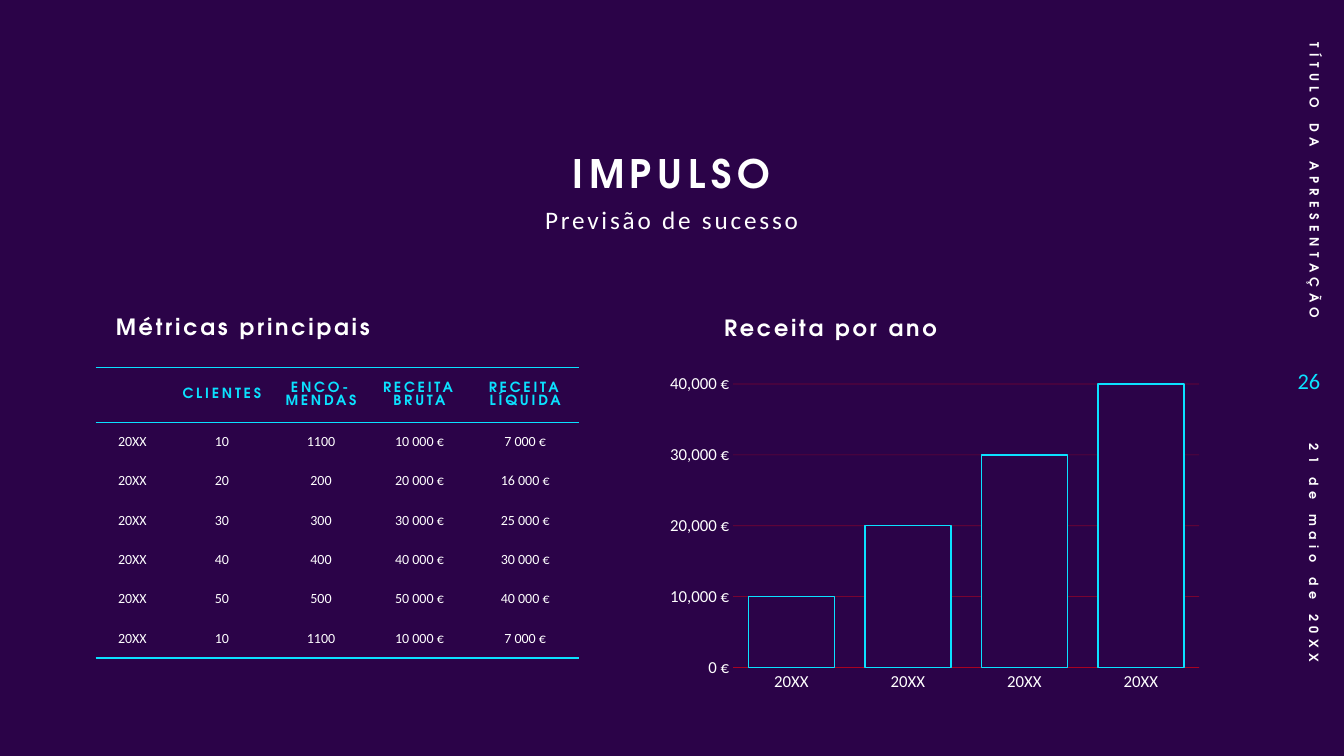
from pptx import Presentation
from pptx.chart.data import CategoryChartData as ChartData
from pptx.dml.color import RGBColor as Rgb
from pptx.enum.chart import XL_CHART_TYPE as Kind, XL_TICK_MARK as Tick
from pptx.enum.text import MSO_ANCHOR as Anchor, PP_ALIGN as Align
from pptx.oxml import parse_xml
from pptx.oxml.ns import nsdecls, qn
from pptx.util import Cm, Pt

HUES = {"back": "2B0348", "text": "FFFFFF", "glow": "0BE1FF", "grid": "EF050C"}
HEAD, BODY = "TeX Gyre Adventor", "Calibri"

FORMS = {
    "title": {"name": HEAD, "size": Pt(28), "bold": True},
    "sub": {"name": BODY, "size": Pt(18), "bold": False},
    "part": {"name": HEAD, "size": Pt(16), "bold": True},
    "side": {"name": HEAD, "size": Pt(9), "bold": True},
    "page": {"name": BODY, "size": Pt(16), "bold": False},
    "head": {"name": HEAD, "size": Pt(10), "bold": True},
    "cell": {"name": BODY, "size": Pt(10), "bold": False},
    "axis": {"name": BODY, "size": Pt(12), "bold": False},
}
GAPS = {"title": 4, "sub": 2, "part": 2, "side": 4, "head": 2}
SPACE = {"title": 0.9, "sub": 0.9, "part": 0.9}
TINTS = {"page": "glow", "head": "glow"}

ROWS = [
    ["", "CLIENTES", "ENCO-MENDAS", "RECEITA BRUTA", "RECEITA LÍQUIDA"],
    ["20XX", "10", "1100", "10 000 €", "7 000 €"],
    ["20XX", "20", "200", "20 000 €", "16 000 €"],
    ["20XX", "30", "300", "30 000 €", "25 000 €"],
    ["20XX", "40", "400", "40 000 €", "30 000 €"],
    ["20XX", "50", "500", "50 000 €", "40 000 €"],
    ["20XX", "10", "1100", "10 000 €", "7 000 €"],
]
WIDTHS = [1.85, 2.66, 2.34, 2.62, 2.71]
RULES = {0, 1, len(ROWS)}


def color(name):
    """Return a named colour."""
    return Rgb.from_string(HUES[name])


def style(font, form):
    """Apply a named text format to a font."""
    for key, val in FORMS[form].items():
        setattr(font, key, val)
    font.color.rgb = color(TINTS.get(form, "text"))


def write(frame, text, form, align):
    """Write one formatted paragraph into a text frame."""
    par = frame.paragraphs[0]
    par.alignment = align
    par.line_spacing = SPACE.get(form, 1.0)
    run = par.add_run()
    run.text = text
    style(run.font, form)
    run._r.get_or_add_rPr().set("spc", str(GAPS.get(form, 0) * 100))


def place(shape, box):
    """Set the position and size of a shape."""
    for key, val in zip(("left", "top", "width", "height"), box):
        setattr(shape, key, Cm(val))


def add_title(slide, text, box):
    """Fill the title placeholder."""
    title = slide.shapes.title
    place(title, box)
    title.text_frame.vertical_anchor = Anchor.BOTTOM
    write(title.text_frame, text, "title", Align.CENTER)


def add_label(slide, text, form, box, align=Align.LEFT, anchor=Anchor.TOP, turn=0):
    """Add a text box, turned if asked."""
    shape = slide.shapes.add_textbox(*map(Cm, box))
    shape.rotation = turn
    frame = shape.text_frame
    frame.word_wrap = True
    frame.vertical_anchor = anchor
    write(frame, text, form, align)


def edge(cell, row):
    """Draw the rules above and below a cell and clear its other sides."""
    lines = {"L": False, "R": False, "T": row in RULES, "B": row + 1 in RULES}
    props = cell._tc.get_or_add_tcPr()
    for spot, (side, drawn) in enumerate(lines.items()):
        fill = "<a:noFill/>"
        if drawn:
            fill = f'<a:solidFill><a:srgbClr val="{HUES["glow"]}"/></a:solidFill>'
        xml = f'<a:ln{side} {nsdecls("a")} w="{Pt(1)}">{fill}</a:ln{side}>'
        props.insert(spot, parse_xml(xml))


def add_grid(slide, box):
    """Add the table of key metrics."""
    table = slide.shapes.add_table(len(ROWS), len(WIDTHS), *map(Cm, box)).table
    for col, width in zip(table.columns, WIDTHS):
        col.width = Cm(width)
    for num, texts in enumerate(ROWS):
        table.rows[num].height = Cm(0.99 if num else 1.37)
        for cell, text in zip(table.rows[num].cells, texts):
            cell.fill.solid()
            cell.fill.fore_color.rgb = color("back")
            cell.vertical_anchor = Anchor.MIDDLE
            write(cell.text_frame, text, "cell" if num else "head", Align.CENTER)
            edge(cell, num)


def stroke(line, name, width):
    """Set the colour and width of a line."""
    line.color.rgb = color(name)
    line.width = Pt(width)


def add_bars(slide, box):
    """Add the column chart of yearly revenue."""
    data = ChartData()
    data.categories = ["20XX"] * 4
    data.add_series("Series 1", [10000, 20000, 30000, 40000])
    chart = slide.shapes.add_chart(Kind.COLUMN_CLUSTERED, *map(Cm, box), data).chart
    chart.has_legend = chart.has_title = False
    style(chart.font, "axis")
    plot = chart.plots[0]
    for key, val in {"gap_width": 35, "overlap": -100, "vary_by_categories": False}.items():
        setattr(plot, key, val)
    bars = plot.series[0].format
    bars.fill.solid()
    bars.fill.fore_color.rgb = color("back")
    stroke(bars.line, "glow", 1)
    cats, vals = chart.category_axis, chart.value_axis
    for axis in (cats, vals):
        axis.major_tick_mark = axis.minor_tick_mark = Tick.NONE
        style(axis.tick_labels.font, "axis")
    scale = {"minimum_scale": 0, "maximum_scale": 40000, "major_unit": 10000}
    for key, val in scale.items():
        setattr(vals, key, val)
    vals.tick_labels.number_format = '#,##0\\ "€"'
    vals.tick_labels.number_format_is_linked = False
    vals.format.line.fill.background()
    stroke(cats.format.line, "grid", 0.5)
    stroke(vals.major_gridlines.format.line, "grid", 0.5)
    for tint in chart._chartSpace.iter(qn("a:srgbClr")):
        if tint.get("val") == HUES["grid"]:
            tint.append(parse_xml(f'<a:alpha {nsdecls("a")} val="40000"/>'))


def main():
    """Build and save the slide."""
    deck = Presentation()
    deck.slide_width, deck.slide_height = Cm(33.87), Cm(19.05)
    slide = deck.slides.add_slide(deck.slide_layouts[5])
    slide.background.fill.solid()
    slide.background.fill.fore_color.rgb = color("back")
    add_title(slide, "IMPULSO", (9.32, 3.18, 15.21, 1.9))
    add_label(slide, "Previsão de sucesso", "sub", (9.78, 5.1, 14.3, 2), Align.CENTER)
    add_label(slide, "Métricas principais", "part", (2.67, 7.85, 9.93, 1.25))
    add_grid(slide, (2.41, 9.27, 12.18, 7.31))
    add_label(slide, "Receita por ano", "part", (18, 7.87, 9.93, 1.25))
    mid = Anchor.MIDDLE
    add_label(slide, "TÍTULO DA APRESENTAÇÃO", "side", (29.28, 3.91, 7.7, 1.02), Align.RIGHT, mid, 90)
    add_label(slide, "26", "page", (32, 8.79, 1.52, 1.6), Align.RIGHT, mid)
    add_label(slide, "21 de maio de 20XX", "side", (29.43, 14.1, 7.37, 1.02), Align.LEFT, mid, 90)
    add_bars(slide, (16.61, 9.26, 13.89, 8.33))
    deck.save("out.pptx")


if __name__ == "__main__":
    main()
